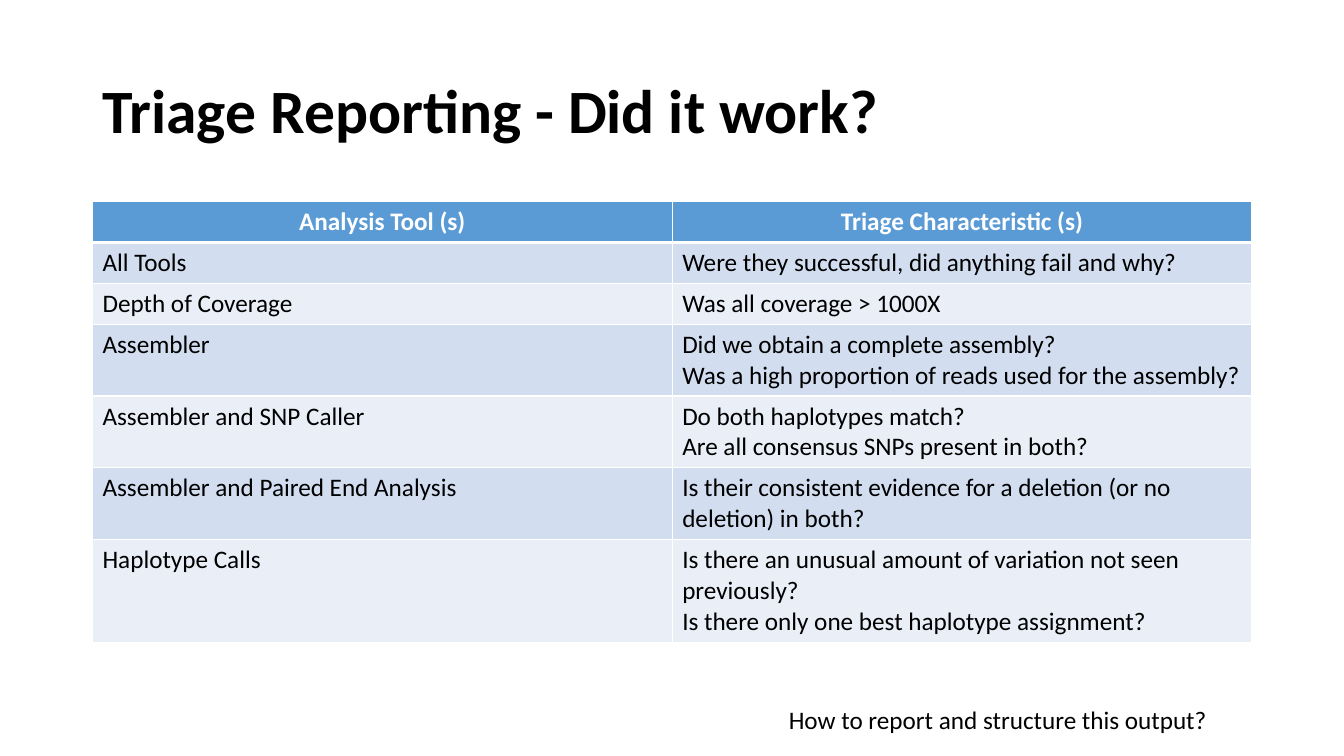
from dataclasses import dataclass

from lxml import etree
from pptx import Presentation
from pptx.dml.color import RGBColor
from pptx.enum.text import MSO_ANCHOR, PP_ALIGN
from pptx.oxml.ns import qn
from pptx.util import Cm, Pt

LEFT, CENTER = PP_ALIGN.LEFT, PP_ALIGN.CENTER
TOP, MIDDLE = MSO_ANCHOR.TOP, MSO_ANCHOR.MIDDLE


@dataclass(frozen=True)
class Theme:
    font: str = "Calibri"
    title_size: int = 44
    body_size: int = 18
    text: str = "000000"
    header_text: str = "FFFFFF"
    header_fill: str = "5B9BD5"
    bands: tuple[str, str] = ("D2DEEF", "EAEFF7")
    border: str = "FFFFFF"


@dataclass(frozen=True)
class TextStyle:
    size: int
    color: str
    bold: bool = False
    align: int = LEFT
    line_spacing: float = 1.0


@dataclass(frozen=True)
class Label:
    text: str
    left: float
    top: float
    width: float
    height: float
    style: TextStyle
    anchor: int = TOP


@dataclass(frozen=True)
class TriageRow:
    tool: str
    questions: tuple[str, ...]
    lines: int = 1


THEME = Theme()
TITLE_STYLE = TextStyle(THEME.title_size, THEME.text, bold=True, line_spacing=0.9)
HEADER_STYLE = TextStyle(THEME.body_size, THEME.header_text, bold=True, align=CENTER)
BODY_STYLE = TextStyle(THEME.body_size, THEME.text)

LABELS = (
    Label("Triage Reporting - Did it work?", 2.33, 1.01, 29.21, 3.68, TITLE_STYLE, MIDDLE),
    Label("How to report and structure this output?", 19.63, 17.63, 12.9, 1.03, BODY_STYLE),
)
TRIAGE_HEADER = TriageRow("Analysis Tool (s)", ("Triage Characteristic (s)",))
TRIAGE_ROWS = (
    TriageRow("All Tools", ("Were they successful, did anything fail and why?",)),
    TriageRow("Depth of Coverage", ("Was all coverage > 1000X",)),
    TriageRow("Assembler", (
        "Did we obtain a complete assembly?",
        "Was a high proportion of reads used for the assembly?"), 2),
    TriageRow("Assembler and SNP Caller", (
        "Do both haplotypes match?",
        "Are all consensus SNPs present in both?"), 2),
    TriageRow("Assembler and Paired End Analysis", (
        "Is their consistent evidence for a deletion (or no deletion) in both?",), 2),
    TriageRow("Haplotype Calls", (
        "Is there an unusual amount of variation not seen previously?",
        "Is there only one best haplotype assignment?"), 3),
)

# Table geometry in centimetres
TABLE_LEFT, TABLE_TOP, COLUMN_WIDTH = 2.33, 5.08, 14.61
CELL_PADDING, LINE_HEIGHT = 0.25, 0.78


def write_text(frame, paragraphs: tuple[str, ...], style: TextStyle) -> None:
    for index, text in enumerate(paragraphs):
        paragraph = frame.paragraphs[0] if index == 0 else frame.add_paragraph()
        paragraph.alignment = style.align
        paragraph.line_spacing = style.line_spacing
        run = paragraph.add_run()
        run.text = text
        run.font.name = THEME.font
        run.font.size = Pt(style.size)
        run.font.bold = style.bold
        run.font.color.rgb = RGBColor.from_string(style.color)


def draw_label(slide, label: Label) -> None:
    box = slide.shapes.add_textbox(
        Cm(label.left), Cm(label.top), Cm(label.width), Cm(label.height))
    box.text_frame.word_wrap = True
    box.text_frame.vertical_anchor = label.anchor
    write_text(box.text_frame, (label.text,), label.style)


def set_borders(cell, top: int, bottom: int) -> None:
    properties = cell._tc.get_or_add_tcPr()
    for side, points in (("L", 1), ("R", 1), ("T", top), ("B", bottom)):
        line = etree.SubElement(properties, qn(f"a:ln{side}"), w=str(Pt(points)))
        fill = etree.SubElement(line, qn("a:solidFill"))
        etree.SubElement(fill, qn("a:srgbClr"), val=THEME.border)


def draw_triage_table(slide) -> None:
    rows = (TRIAGE_HEADER, *TRIAGE_ROWS)
    heights = [Cm(CELL_PADDING + LINE_HEIGHT * row.lines) for row in rows]
    table = slide.shapes.add_table(
        len(rows), 2, Cm(TABLE_LEFT), Cm(TABLE_TOP),
        Cm(2 * COLUMN_WIDTH), sum(heights)).table
    for column in table.columns:
        column.width = Cm(COLUMN_WIDTH)
    for index, row in enumerate(rows):
        table.rows[index].height = heights[index]
        is_header = index == 0
        fill = THEME.header_fill if is_header else THEME.bands[(index - 1) % 2]
        style = HEADER_STYLE if is_header else BODY_STYLE
        for column, paragraphs in enumerate(((row.tool,), row.questions)):
            cell = table.cell(index, column)
            # The line below the header is thicker than the others
            set_borders(cell, 3 if index == 1 else 1, 3 if is_header else 1)
            cell.fill.solid()
            cell.fill.fore_color.rgb = RGBColor.from_string(fill)
            write_text(cell.text_frame, paragraphs, style)


def main() -> None:
    deck = Presentation()
    deck.slide_width, deck.slide_height = Cm(33.87), Cm(19.05)
    slide = deck.slides.add_slide(deck.slide_layouts[6])

    # Title and closing question
    for label in LABELS:
        draw_label(slide, label)

    # Tools and their checks
    draw_triage_table(slide)

    deck.save("out.pptx")


if __name__ == "__main__":
    main()
